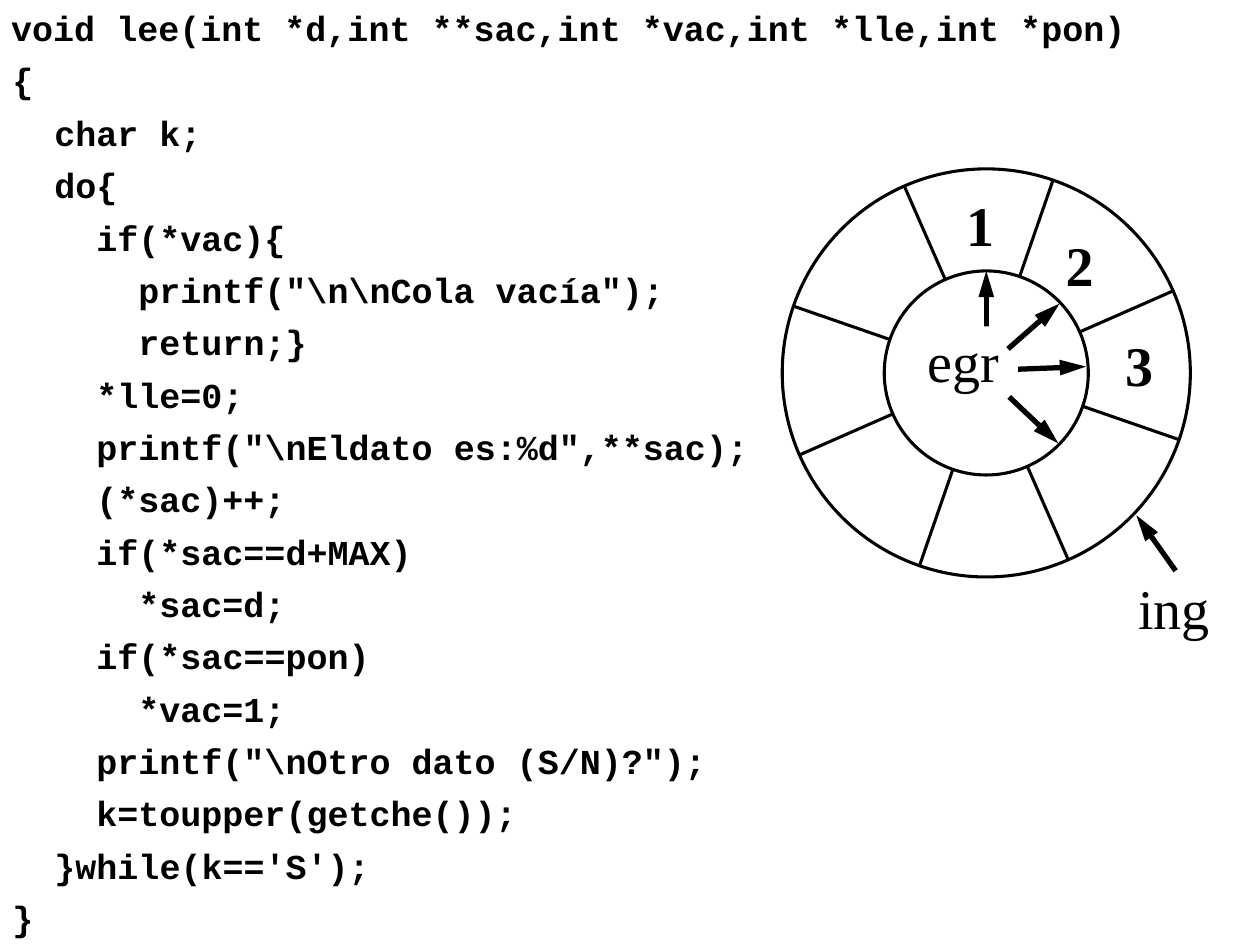
"""Build a slide with a queue-reading C function and its circular buffer."""
from math import cos, radians, sin

from lxml import etree
from pptx import Presentation
from pptx.dml.color import RGBColor
from pptx.enum.shapes import MSO_CONNECTOR, MSO_SHAPE
from pptx.enum.text import MSO_ANCHOR, MSO_AUTO_SIZE, PP_ALIGN
from pptx.oxml.ns import qn
from pptx.util import Pt

STRAIGHT = MSO_CONNECTOR.STRAIGHT
RECTANGLE, DONUT = MSO_SHAPE.RECTANGLE, MSO_SHAPE.DONUT
TOP, MIDDLE, LEFT = MSO_ANCHOR.TOP, MSO_ANCHOR.MIDDLE, PP_ALIGN.LEFT
GROW = MSO_AUTO_SIZE.SHAPE_TO_FIT_TEXT

COLORS = {"ink": "000000", "paper": "FFFFFF"}
CODE_FONT, LABEL_FONT = "Courier New", "Times New Roman"
CODE_PITCH, CODE_HEIGHT, CHAR_WIDTH = 29.92, 31.5, 12
CODE_PADDING = 16
CENTER_X, CENTER_Y = 563.6, 213.1
OUTER_RADIUS, INNER_RADIUS = 116.6, 58.3
RING_LINE, ARROW_LINE = 1.75, 3

CODE_LINES = [
    (0, "void lee(int *d,int **sac,int *vac,int *lle,int *pon)"),
    (0, "{"),
    (2, "char k;"),
    (2, "do{"),
    (4, "if(*vac){"),
    (6, 'printf("\\n\\nCola vacía");'),
    (6, "return;}"),
    (4, "*lle=0;"),
    (4, 'printf("\\nEldato es:%d",**sac);'),
    (4, "(*sac)++;"),
    (4, "if(*sac==d+MAX)"),
    (6, "*sac=d;"),
    (4, "if(*sac==pon)"),
    (6, "*vac=1;"),
    (4, 'printf("\\nOtro dato (S/N)?");'),
    (4, "k=toupper(getche());"),
    (2, "}while(k=='S');"),
    (0, "}"),
]
EGRESS_ARROWS = [
    (576, 199.4, 605.5, 173.5),
    (576.7, 226.8, 604.8, 253.4),
    (581.8, 211, 620.6, 209.5),
]
SLOT_BACKINGS = [(544.3, 115.9), (601.9, 135.4), (641.5, 193.7)]
SLOT_NUMBERS = [("1", 545, 105.1), ("2", 601.9, 128.2), ("3", 635.8, 185.3)]


def color(name):
    """Return the named colour of the palette."""
    return RGBColor.from_string(COLORS[name])


def write(shape, text, font, size, bold=False, anchor=TOP, indent=0):
    """Put one left-aligned line of formatted text in a shape."""
    frame = shape.text_frame
    frame.word_wrap = False
    frame.vertical_anchor = anchor
    paragraph = frame.paragraphs[0]
    paragraph.alignment = LEFT
    if indent:
        properties = paragraph._p.get_or_add_pPr()
        properties.set("marL", str(Pt(indent)))
        properties.set("indent", "0")
    run = paragraph.add_run()
    run.text = text
    run.font.name, run.font.size, run.font.bold = font, Pt(size), bold
    run.font.color.rgb = color("ink")


def add_text(slide, left, top, width, height, text, **style):
    """Add a growing text box with one line of text."""
    box = slide.shapes.add_textbox(Pt(left), Pt(top), Pt(width), Pt(height))
    write(box, text, **style)
    box.text_frame.auto_size = GROW


def add_plain(slide, kind, left, top, width, height):
    """Add a paper-coloured shape without outline or shadow."""
    shape = slide.shapes.add_shape(kind, Pt(left), Pt(top), Pt(width), Pt(height))
    shape.shadow.inherit = False
    shape.fill.solid()
    shape.fill.fore_color.rgb = color("paper")
    shape.line.fill.background()
    return shape


def add_label(slide, left, top, width, text):
    """Add a pointer name on a paper-coloured rectangle."""
    label = add_plain(slide, RECTANGLE, left, top, width, 38.9)
    frame = label.text_frame
    frame.margin_left = frame.margin_right = 0
    frame.margin_top = frame.margin_bottom = 0
    write(label, text, font=LABEL_FONT, size=32, anchor=MIDDLE)


def add_line(slide, x1, y1, x2, y2, width=RING_LINE, arrow=False):
    """Add a straight line, with a long arrowhead at its end on request."""
    line = slide.shapes.add_connector(STRAIGHT, Pt(x1), Pt(y1), Pt(x2), Pt(y2))
    line.line.color.rgb = color("ink")
    line.line.width = Pt(width)
    if arrow:
        etree.SubElement(line.line._get_or_add_ln(), qn("a:tailEnd"),
                         type="triangle", w="med", len="lg")
    etree.SubElement(line._element.spPr, qn("a:effectLst"))


def add_arrow(slide, x1, y1, x2, y2):
    """Add a thick pointer arrow."""
    add_line(slide, x1, y1, x2, y2, width=ARROW_LINE, arrow=True)


def add_code(slide):
    """Add the function, one text box per line at an even pitch."""
    for row, (depth, text) in enumerate(CODE_LINES):
        left = 0 if row else -0.7
        width = CODE_PADDING + CHAR_WIDTH * (depth + len(text))
        add_text(slide, left, row * CODE_PITCH, width, CODE_HEIGHT, text,
                 font=CODE_FONT, size=20, bold=True, anchor=MIDDLE,
                 indent=depth * CHAR_WIDTH)


def add_ring(slide):
    """Add the circular buffer and the walls between its slots."""
    size = 2 * OUTER_RADIUS
    ring = add_plain(slide, DONUT, CENTER_X - OUTER_RADIUS,
                     CENTER_Y - OUTER_RADIUS, size, size)
    ring.adjustments[0] = 0.25
    ring.rotation = 289.2
    ring.line.color.rgb = color("ink")
    ring.line.width = Pt(RING_LINE)
    for first_angle in (19.1, 66.3):
        for quarter in range(4):
            angle = radians(first_angle + 90 * quarter)
            dx, dy = cos(angle), sin(angle)
            add_line(slide, CENTER_X + INNER_RADIUS * dx, CENTER_Y + INNER_RADIUS * dy,
                     CENTER_X + OUTER_RADIUS * dx, CENTER_Y + OUTER_RADIUS * dy)


def add_numbers(slide):
    """Add the numbers of the first slots."""
    for text, left, top in SLOT_NUMBERS:
        add_text(slide, left, top, 30.4, 46, text,
                 font=LABEL_FONT, size=32, bold=True)


def main():
    """Build and save the slide."""
    deck = Presentation()
    deck.slide_width, deck.slide_height = Pt(720), Pt(540)
    slide = deck.slides.add_slide(deck.slide_layouts[6])
    add_code(slide)
    add_arrow(slide, CENTER_X, 193.7, CENTER_X, 154.8)
    add_label(slide, 530.2, 186.5, 43.9, "egr")
    add_arrow(slide, 671.8, 326.2, 649.4, 294.5)
    add_label(slide, 650.5, 327.6, 59, "ing")
    add_ring(slide)
    for left, top in SLOT_BACKINGS:
        add_plain(slide, RECTANGLE, left, top, 31.5, 31.5)
    for ends in EGRESS_ARROWS:
        add_arrow(slide, *ends)
    add_numbers(slide)
    deck.save("out.pptx")


if __name__ == "__main__":
    main()
